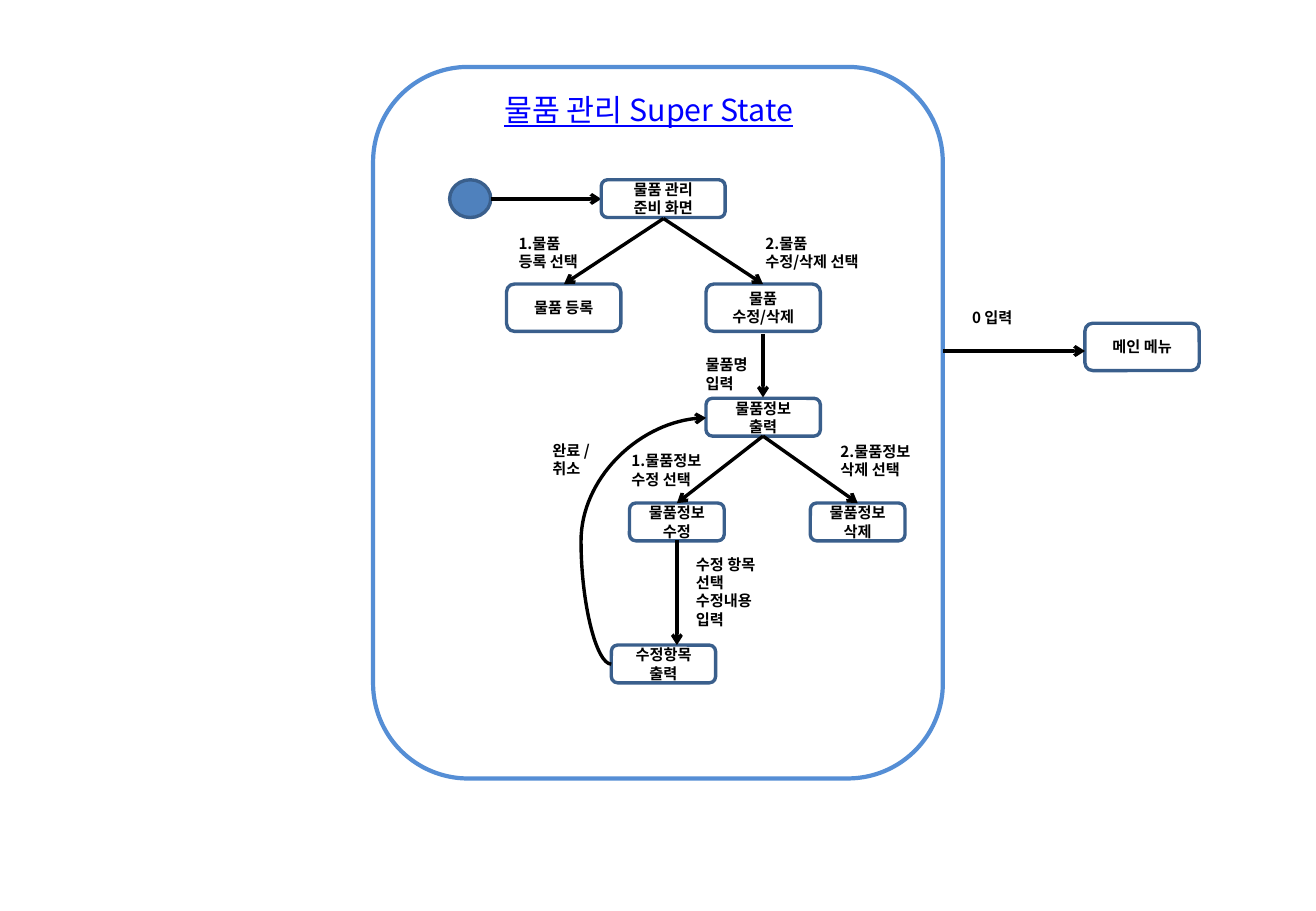
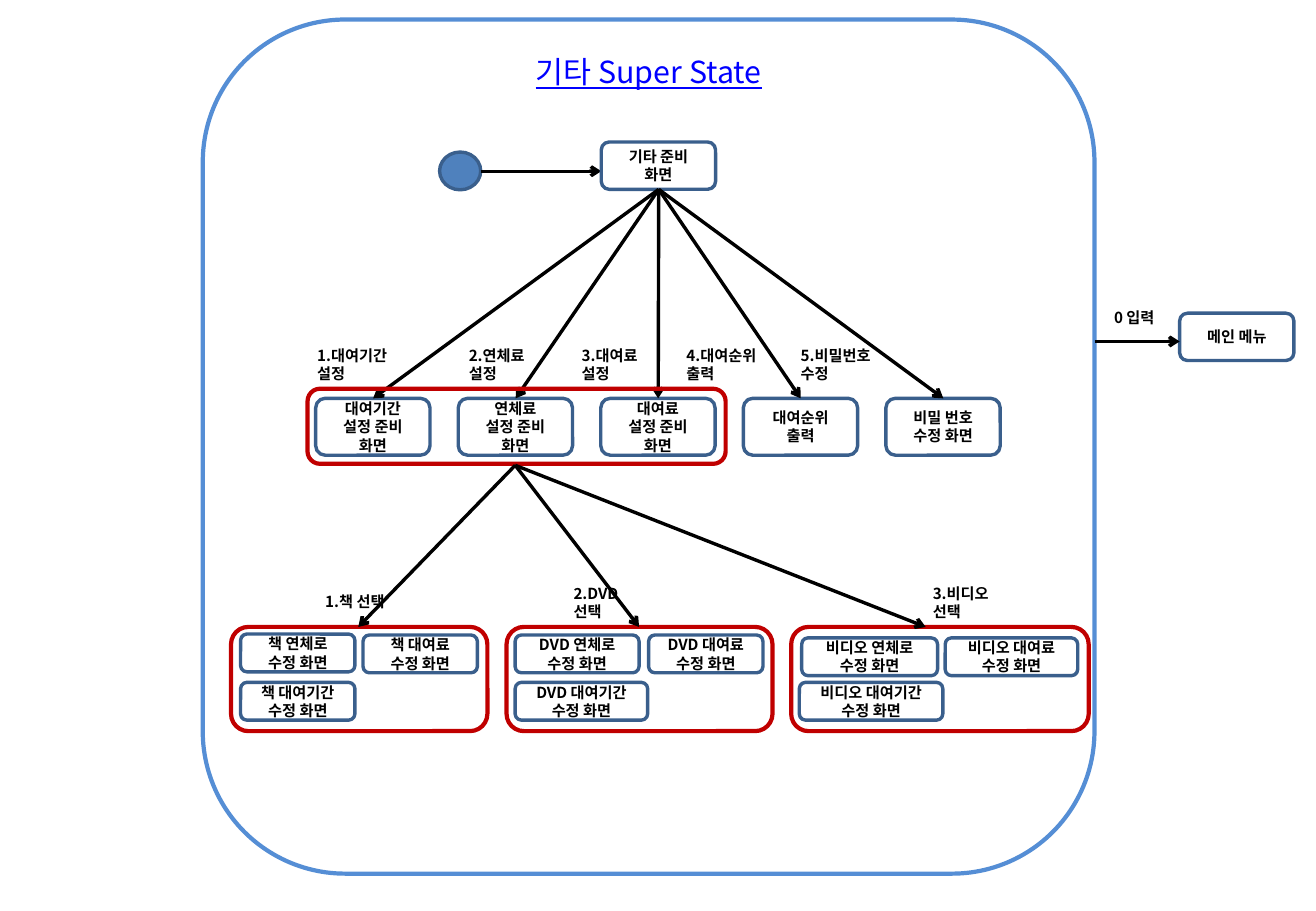
from lxml.etree import SubElement
from pptx import Presentation
from pptx.dml.color import RGBColor
from pptx.enum.shapes import MSO_CONNECTOR as LINK, MSO_SHAPE as SHAPE
from pptx.enum.text import MSO_ANCHOR as ANCHOR, MSO_AUTO_SIZE as AUTO, PP_ALIGN as ALIGN
from pptx.oxml.ns import qn
from pptx.util import Cm, Pt

FONT = "Noto Sans CJK KR"
BLACK = RGBColor(0x00, 0x00, 0x00)
TITLE_BLUE = RGBColor(0x00, 0x00, 0xFF)
STATE_LINE = RGBColor(0x3A, 0x5F, 0x8C)
START_FILL = RGBColor(0x4F, 0x81, 0xBD)
SUPER_LINE = RGBColor(0x55, 0x8E, 0xD5)
GROUP_LINE = RGBColor(0xC0, 0x00, 0x00)


def write(slide, text, left, top, width, height, *, kind=None, line=STATE_LINE, weight=2,
          fill=None, size=9, color=BLACK, bold=True, underline=False, align=None, inset=0.25):
    area = Cm(left), Cm(top), Cm(width), Cm(height)
    if kind is None:
        part = slide.shapes.add_textbox(*area)
    else:
        part = slide.shapes.add_shape(kind, *area)
        part.shadow.inherit = False
        part.line.color.rgb = line
        part.line.width = Pt(weight)
        if fill is None:
            part.fill.background()
        else:
            part.fill.solid()
            part.fill.fore_color.rgb = fill
    if not text:
        return
    frame = part.text_frame
    frame.word_wrap = True
    frame.auto_size = AUTO.NONE if kind else AUTO.SHAPE_TO_FIT_TEXT
    frame.vertical_anchor = ANCHOR.MIDDLE if kind else ANCHOR.TOP
    frame.margin_left = frame.margin_right = Cm(inset)
    frame.margin_top = frame.margin_bottom = Cm(inset / 2)
    frame.text = text
    for paragraph in frame.paragraphs:
        paragraph.alignment = align or (ALIGN.CENTER if kind else ALIGN.LEFT)
        for run in paragraph.runs:
            run.font.name = FONT
            run.font.size = Pt(size)
            run.font.bold = bold
            run.font.underline = underline
            run.font.color.rgb = color
            SubElement(run.font._element, qn("a:ea"), typeface=FONT)


def arrow(slide, start, end, bend=None):
    link = slide.shapes.add_connector(LINK.STRAIGHT if bend is None else LINK.CURVE,
                                      *map(Cm, start + end))
    link.line.color.rgb = BLACK
    link.line.width = Pt(2)
    properties = link.element.spPr
    SubElement(properties.find(qn("a:ln")), qn("a:tailEnd"), type="arrow")
    SubElement(properties, qn("a:effectLst"))
    if bend is not None:
        guides = properties.find(qn("a:prstGeom")).get_or_add_avLst()
        SubElement(guides, qn("a:gd"), name="adj1", fmla=f"val {bend}")


deck = Presentation()
deck.slide_width, deck.slide_height = Cm(27.51), Cm(19.05)
goods = deck.slides.add_slide(deck.slide_layouts[6])
others = deck.slides.add_slide(deck.slide_layouts[6])

super_states = [
    (goods, "물품 관리 Super State", 1.78, (7.8, 1.4, 11.91, 14.88),
     (9.4, 3.76), (22.68, 6.76), 7.34, 20.12),
    (others, "기타 Super State", 0.99, (4.24, 0.41, 18.64, 17.86),
     (9.19, 3.18), (24.66, 6.55), 7.14, 23.09),
]
for slide, title, title_top, border, start, menu, exit_y, exit_label in super_states:
    write(slide, "", *border, kind=SHAPE.ROUNDED_RECTANGLE, line=SUPER_LINE, weight=2.5)
    write(slide, title, 9.19, title_top, 8.74, 1.02, size=18, color=TITLE_BLUE,
          bold=False, underline=True, align=ALIGN.CENTER)
    write(slide, "", *start, 0.86, 0.79, kind=SHAPE.OVAL, fill=START_FILL)
    start_y = start[1] + 0.4
    arrow(slide, (start[0] + 0.86, start_y), (12.57, start_y))
    write(slide, "메인 메뉴", *menu, 2.39, 0.99, kind=SHAPE.ROUNDED_RECTANGLE)
    arrow(slide, (border[0] + border[2], exit_y), (menu[0], exit_y))
    write(slide, "0 입력", exit_label, 6.35, 1.78, 0.61, inset=0.2)

goods_states = [
    ("물품 관리\n준비 화면", 12.57, 3.76, 2.59, 0.79),
    ("물품 등록", 10.59, 5.94, 2.39, 0.99),
    ("물품 수정/삭제", 14.76, 5.94, 2.39, 0.99),
    ("물품정보\n출력", 14.76, 8.33, 2.39, 0.79),
    ("물품정보수정", 13.16, 10.52, 1.98, 0.79),
    ("물품정보삭제", 16.94, 10.52, 1.98, 0.79),
    ("수정항목 출력", 12.78, 13.49, 2.18, 0.79),
]
for state in goods_states:
    write(goods, *state, kind=SHAPE.ROUNDED_RECTANGLE)

goods_choices = [
    ("1.물품\n등록 선택", 10.59, 4.78, 2.18, 1.02, 0.25),
    ("2.물품\n수정/삭제 선택", 15.75, 4.78, 3.02, 1.02, 0.25),
    ("1.물품정보\n수정 선택", 12.95, 9.32, 2.59, 1.02, 0.25),
    ("2.물품정보\n삭제 선택", 17.32, 9.12, 2.39, 1.02, 0.25),
    ("물품명\n입력", 14.55, 7.34, 1.45, 0.99, 0.2),
    ("완료 /\n취소", 11.35, 9.12, 2.01, 0.97, 0.2),
    ("수정 항목\n선택\n수정내용\n입력", 14.35, 11.51, 2.01, 2.13, 0.2),
]
for *choice, inset in goods_choices:
    write(goods, *choice, inset=inset)

goods_moves = [
    ((13.87, 4.57), (11.79, 5.94)),
    ((13.87, 4.57), (15.95, 5.94)),
    ((15.95, 6.98), (15.95, 8.31)),
    ((15.95, 9.12), (14.15, 10.52)),
    ((15.95, 9.12), (17.93, 10.52)),
    ((14.15, 11.3), (14.15, 13.49)),
]
for move in goods_moves:
    arrow(goods, *move)
arrow(goods, (12.78, 13.89), (14.76, 8.74), bend=-32000)

write(others, "기타 준비 화면", 12.57, 2.97, 2.39, 0.99, kind=SHAPE.ROUNDED_RECTANGLE)
settings = [
    ("대여기간\n설정 준비 화면", "1.대여기간 설정", 6.43, 1.98),
    ("연체료\n설정 준비 화면", "2.연체료\n설정", 9.6, 1.78),
    ("대여료\n설정 준비 화면", "3.대여료 설정", 11.96, 1.78),
    ("대여순위\n출력", "4.대여순위 출력", 14.15, 1.98),
    ("비밀 번호\n수정 화면", "5.비밀번호 수정", 16.54, 1.98),
]
for index, (screen, choice, choice_left, choice_width) in enumerate(settings):
    left = 6.6 + 2.98 * index
    write(others, screen, left, 8.33, 2.39, 1.19, kind=SHAPE.ROUNDED_RECTANGLE)
    write(others, choice, choice_left, 7.14, choice_width, 0.99, inset=0.2)
    arrow(others, (13.77, 3.96), (left + 1.2, 8.33))
write(others, "", 6.43, 8.13, 8.74, 1.57, kind=SHAPE.ROUNDED_RECTANGLE,
      line=GROUP_LINE, weight=2.5)

media = [
    ("책", 4.83, 5.36, 7.49, ("1.책 선택", 6.6, 12.29, 1.98, 0.61),
     [(5.03, 13.26, 2.39), (7.59, 13.28, 2.39), (5.03, 14.27, 2.39)]),
    ("DVD", 10.59, 5.56, 13.36, ("2.DVD\n선택", 11.79, 12.12, 1.98, 0.99),
     [(10.77, 13.28, 2.59), (13.56, 13.28, 2.39), (10.77, 14.27, 2.77)]),
    ("비디오", 16.54, 6.22, 19.35, ("3.비디오\n선택", 19.3, 12.12, 1.98, 0.99),
     [(16.76, 13.34, 2.84), (19.76, 13.34, 2.77), (16.71, 14.27, 3.0)]),
]
for medium, left, width, tip, choice, screens in media:
    write(others, "", left, 13.11, width, 2.18, kind=SHAPE.ROUNDED_RECTANGLE,
          line=GROUP_LINE, weight=2.5)
    arrow(others, (10.77, 9.73), (tip, 13.11))
    write(others, *choice, inset=0.2)
    for item, area in zip(("연체로", "대여료", "대여기간"), screens):
        write(others, f"{medium} {item}\n수정 화면", *area, 0.79, kind=SHAPE.ROUNDED_RECTANGLE)

deck.save("out.pptx")
